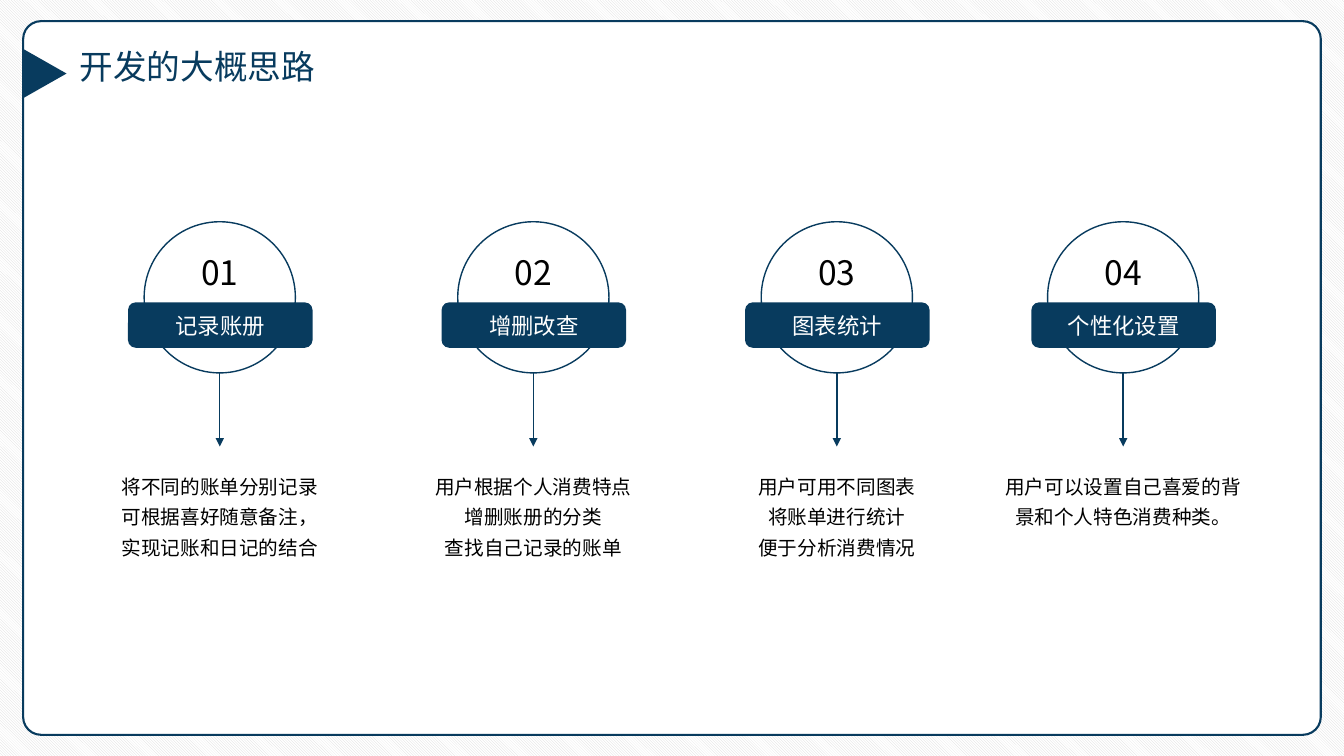
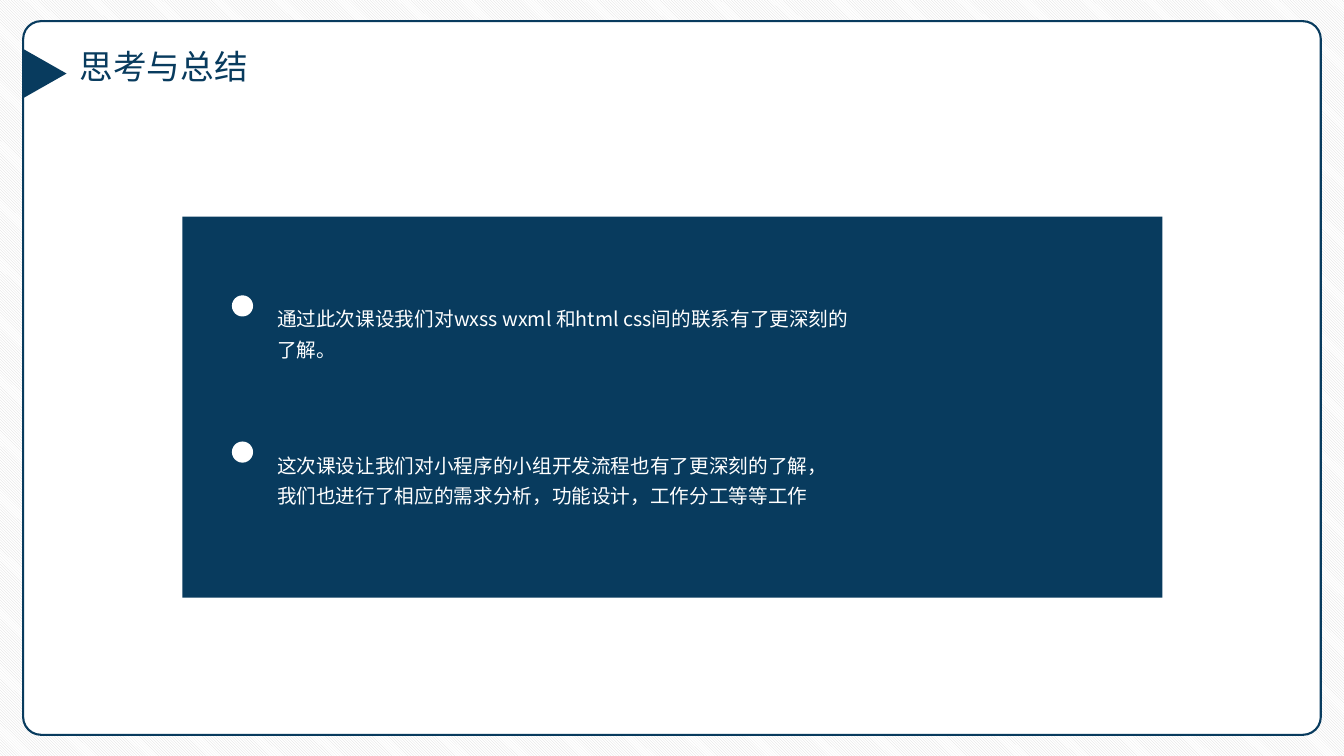
from dataclasses import dataclass
from lxml import etree
from pptx import Presentation
from pptx.dml.color import RGBColor
from pptx.enum import dml, shapes, text
from pptx.oxml import ns
from pptx.util import Inches, Pt


@dataclass(frozen=True)
class Theme:
    navy: RGBColor = RGBColor.from_string("083B5E")
    white: RGBColor = RGBColor.from_string("FFFFFF")
    black: RGBColor = RGBColor.from_string("000000")
    gray: RGBColor = RGBColor.from_string("D9D9D9")
    font: str = "Noto Sans CJK SC"
    digit: str = "Noto Sans CJK JP"
    head: int = 24
    label: int = 16
    body: int = 14
    edge: float = 1.5
    thin: float = 1
    lead: float = 1.3


T = Theme()
Kind = shapes.MSO_SHAPE
Align = text.PP_ALIGN

PLAN = "开发的大概思路"
STEPS = [
    (2.18, 2.61, "记录账册",
     ["将不同的账单分别记录", "可根据喜好随意备注，", "实现记账和日记的结合"]),
    (5.29, 2.15, "增删改查",
     ["用户根据个人消费特点增删账册的分类", "查找自己记录的账单"]),
    (8.3, 2.61, "图表统计",
     ["用户可用不同图表", "将账单进行统计", "便于分析消费情况"]),
    (11.14, 2.61, "个性化设置",
     ["用户可以设置自己喜爱的背景和个人特色消费种类。"]),
]
RECAP = "思考与总结"
POINTS = [
    (5.98, ["通过此次课设我们对wxss wxml 和html css间的联系有了更深刻的了解。"]),
    (5.48, ["这次课设让我们对小程序的小组开发流程也有了更深刻的了解，",
            "我们也进行了相应的需求分析，功能设计，工作分工等等工作"]),
]


def place(item, x, y, w, h):
    item.left, item.top = Inches(x), Inches(y)
    item.width, item.height = Inches(w), Inches(h)


def write(frame, lines, size, color, align=Align.LEFT, font=T.font, lead=None):
    frame.text = "\n".join(lines)
    frame.word_wrap = True
    for para in frame.paragraphs:
        para.alignment = align
        para.line_spacing = lead
        for run in para.runs:
            run.font.size = Pt(size)
            run.font.name = font
            run.font.color.rgb = color
            east = etree.SubElement(run.font._element, ns.qn("a:ea"))
            east.set("typeface", font)


def shape(slide, kind, x, y, w, h, fill, line=None, width=T.thin):
    item = slide.shapes.add_shape(kind, *map(Inches, (x, y, w, h)))
    item.shadow.inherit = False
    item.fill.solid()
    item.fill.fore_color.rgb = fill
    if line is None:
        item.line.fill.background()
    else:
        item.line.color.rgb = line
        item.line.width = Pt(width)
    return item


def note(slide, x, y, w, h, lines, size, color, **style):
    box = slide.shapes.add_textbox(*map(Inches, (x, y, w, h)))
    write(box.text_frame, lines, size, color, **style)


def arrow(slide, x, top, end):
    link = slide.shapes.add_connector(
        shapes.MSO_CONNECTOR.STRAIGHT, *map(Inches, (x, top, x, end)))
    link.line.color.rgb = T.navy
    link.line.width = Pt(T.thin)
    tip = etree.SubElement(link.line._get_or_add_ln(), ns.qn("a:tailEnd"))
    tip.set("type", "triangle")
    etree.SubElement(link._element.spPr, ns.qn("a:effectLst"))


def dress(layout, slide):
    fill = layout.background.fill
    fill.patterned()
    fill.pattern = dml.MSO_PATTERN.LIGHT_DOWNWARD_DIAGONAL
    fill.fore_color.rgb = T.gray
    fill.back_color.rgb = T.white
    card = shape(slide, Kind.ROUNDED_RECTANGLE, 0.23, 0.21, 12.87, 7.08,
                 T.white, T.navy, T.edge)
    card.adjustments[0] = 0.025
    flag = shape(slide, Kind.ISOSCELES_TRIANGLE, 0.19, 0.51, 0.5, 0.44, T.navy)
    flag.rotation = 90
    for spot, part in enumerate((card, flag), 2):
        layout.shapes.element.insert(spot, part.element)
    place(layout.placeholders[0], 0.69, 0.41, 11.5, 0.5)


def title(slide, words):
    frame = slide.shapes.title.text_frame
    write(frame, [words], T.head, T.navy)
    frame.vertical_anchor = text.MSO_ANCHOR.TOP
    frame.auto_size = text.MSO_AUTO_SIZE.NONE


def plan(slide):
    title(slide, PLAN)
    for num, (mid, wide, name, lines) in enumerate(STEPS, 1):
        arrow(slide, mid, 3.57, 4.43)
        shape(slide, Kind.OVAL, mid - 0.75, 2.2, 1.5, 1.5, T.white, T.navy)
        pill = shape(slide, Kind.ROUNDED_RECTANGLE, mid - 0.91, 3, 1.83, 0.45, T.navy)
        write(pill.text_frame, [name], T.label, T.white, Align.CENTER)
        note(slide, mid - 0.69, 2.45, 1.38, 0.5, [f"{num:02}"], T.head, T.black,
             align=Align.CENTER, font=T.digit)
        note(slide, mid - wide / 2, 4.59, wide, 1.02, lines, T.body, T.black,
             align=Align.CENTER, lead=T.lead)


def recap(slide):
    title(slide, RECAP)
    shape(slide, Kind.RECTANGLE, 1.81, 2.15, 9.72, 3.78, T.navy)
    for row, (wide, lines) in enumerate(POINTS):
        top = 2.93 + 1.45 * row
        shape(slide, Kind.OVAL, 2.3, top, 0.21, 0.21, T.white)
        note(slide, 2.65, top, wide, 0.71, lines, T.body, T.white, lead=T.lead)


def main():
    deck = Presentation()
    deck.slide_width, deck.slide_height = Inches(13.33), Inches(7.5)
    layout = deck.slide_layouts[5]
    first, last = (deck.slides.add_slide(layout) for _ in range(2))
    dress(layout, first)
    plan(first)
    recap(last)
    deck.save("out.pptx")


if __name__ == "__main__":
    main()
